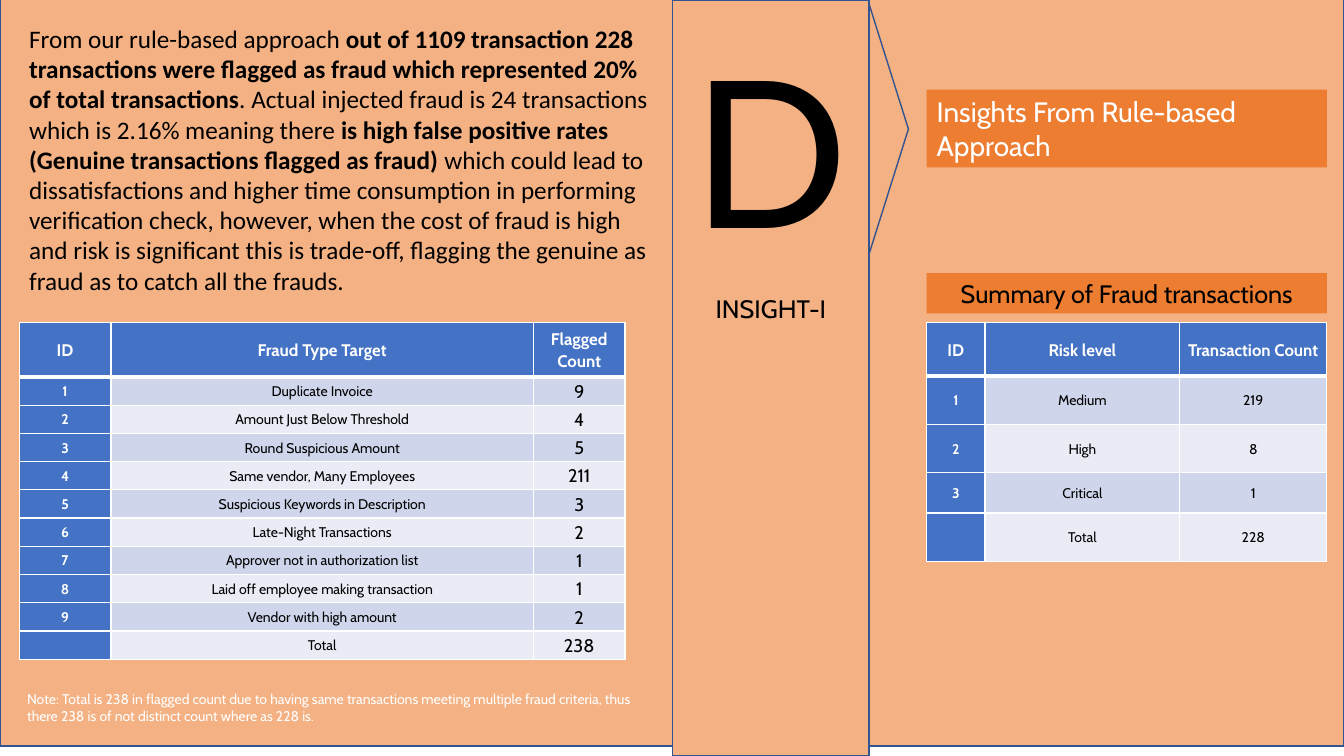
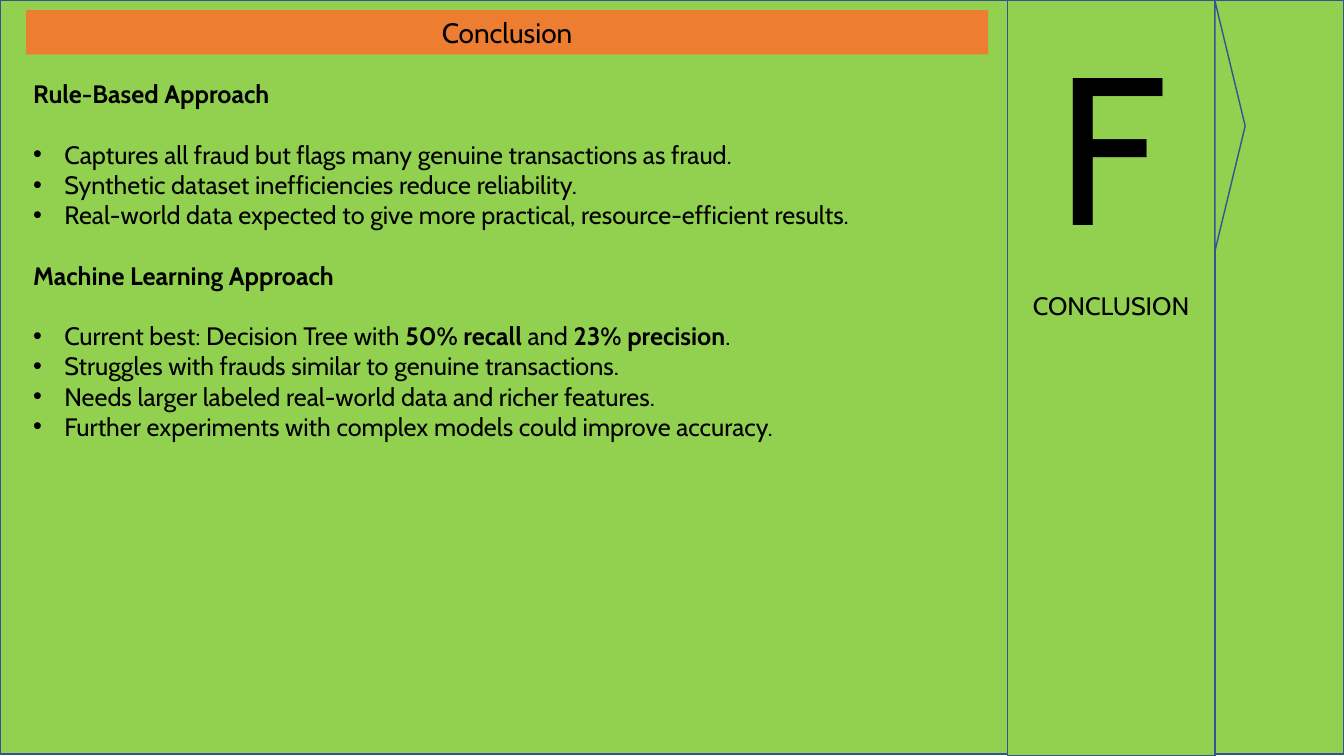
from lxml import etree
from pptx import Presentation
from pptx.dml.color import RGBColor
from pptx.enum import shapes, text
from pptx.oxml.ns import qn
from pptx.util import Inches, Pt

PEACH = RGBColor(0xF4, 0xB1, 0x83)
GREEN = RGBColor(0x92, 0xD0, 0x50)
ORANGE = RGBColor(0xED, 0x7D, 0x31)
OUTLINE = RGBColor(0x32, 0x54, 0x91)
BLUE = RGBColor(0x44, 0x72, 0xC4)
BAND_DARK = RGBColor(0xCF, 0xD5, 0xEA)
BAND_LIGHT = RGBColor(0xE9, 0xEB, 0xF5)
WHITE = RGBColor(0xFF, 0xFF, 0xFF)
BLACK = RGBColor(0x00, 0x00, 0x00)

LEFT, CENTER = text.PP_ALIGN.LEFT, text.PP_ALIGN.CENTER
TOP, MIDDLE = text.MSO_ANCHOR.TOP, text.MSO_ANCHOR.MIDDLE

SUMMARY = (
    "From our rule-based approach **out of 1109 transaction 228 transactions were flagged as fraud "
    "which represented 20% of total transactions**. Actual injected fraud is 24 transactions which is "
    "2.16% meaning there **is high false positive rates (Genuine transactions flagged as fraud)** which "
    "could lead to dissatisfactions and higher time consumption in performing verification check, "
    "however, when the cost of fraud is high and risk is significant this is trade-off, flagging the "
    "genuine as fraud as to catch all the frauds."
)
NOTE = (
    "Note: Total is 238 in flagged count due to having same transactions meeting multiple fraud "
    "criteria, thus there 238 is of not distinct count where as 228 is."
)
FRAUD_TYPES = [
    ("ID", "Fraud Type Target", "Flagged Count"),
    ("1", "Duplicate Invoice", "9"),
    ("2", "Amount Just Below Threshold", "4"),
    ("3", "Round Suspicious Amount", "5"),
    ("4", "Same vendor, Many Employees", "211"),
    ("5", "Suspicious Keywords in Description", "3"),
    ("6", "Late-Night Transactions", "2"),
    ("7", "Approver not in authorization list", "1"),
    ("8", "Laid off employee making transaction", "1"),
    ("9", "Vendor with high amount", "2"),
    ("", "Total", "238"),
]
RISK_LEVELS = [
    ("ID", "Risk level", "Transaction Count"),
    ("1", "Medium", "219"),
    ("2", "High", "8"),
    ("3", "Critical", "1"),
    ("", "Total", "228"),
]
CONCLUSIONS = {
    "Rule-Based Approach": [
        "Captures all fraud but flags many genuine transactions as fraud.",
        "Synthetic dataset inefficiencies reduce reliability.",
        "Real-world data expected to give more practical, resource-efficient results.",
    ],
    "Machine Learning Approach": [
        "Current best: Decision Tree with **50% recall** and **23% precision**.",
        "Struggles with frauds similar to genuine transactions.",
        "Needs larger labeled real-world data and richer features.",
        "Further experiments with complex models could improve accuracy.",
    ],
}


def apply(target, **values):
    for name, value in values.items():
        setattr(target, name, value)


class Deck:
    font = "Cabin"
    blank_line = Pt(21.6)

    def __init__(self):
        self.show = Presentation()
        apply(self.show, slide_width=Inches(13.33), slide_height=Inches(7.5))
        self.page = None
        self.theme = None

    def start(self, theme, top, height):
        self.page = self.show.slides.add_slide(self.show.slide_layouts[5])
        self.theme = theme
        self.block((0, top, 13.33, height))

    def place(self, shape, area):
        apply(shape, **dict(zip(("left", "top", "width", "height"), map(Inches, area))))

    def paint(self, shape, fill, line=None):
        shape.fill.solid()
        shape.fill.fore_color.rgb = fill
        if line is None:
            shape.line.fill.background()
        else:
            shape.line.color.rgb = line
            shape.line.width = Pt(1)

    def block(self, area, kind=shapes.MSO_SHAPE.RECTANGLE, fill=None, line=OUTLINE):
        shape = self.page.shapes.add_shape(kind, *map(Inches, area))
        shape.shadow.inherit = False
        self.paint(shape, fill or self.theme, line)
        return shape

    def add_words(self, para, words, size, color=BLACK, bold=False, font=None, **layout):
        apply(para, **layout)
        for index, part in enumerate(words.split("**")):
            if part:
                span = para.add_run()
                span.text = part
                apply(span.font, size=Pt(size), name=font or self.font, bold=bold or index % 2 == 1)
                span.font.color.rgb = color

    def frame(self, shape, anchor=TOP):
        apply(shape.text_frame, word_wrap=True, auto_size=text.MSO_AUTO_SIZE.NONE, vertical_anchor=anchor)
        return shape.text_frame

    def textbox(self, area):
        return self.frame(self.page.shapes.add_textbox(*map(Inches, area)))

    def label(self, area, words, size, **style):
        self.add_words(self.textbox(area).paragraphs[0], words, size, **style)

    def title(self, area, words, color=BLACK, alignment=CENTER):
        title = self.page.shapes.title
        title.element.getparent().append(title.element)
        self.place(title, area)
        self.paint(title, ORANGE)
        self.add_words(self.frame(title, MIDDLE).paragraphs[0], words, 20, color, alignment=alignment)

    def banner(self, area, words):
        frame = self.frame(self.block(area, fill=ORANGE, line=None), MIDDLE)
        self.add_words(frame.paragraphs[0], words, 18, alignment=CENTER)

    def side_panel(self, left, width, top, letter, name, depth):
        self.block((left, 0, width, 7.5))
        self.label((left, top, width, 2.63), letter, 150, alignment=CENTER)
        self.label((left, top + 2.73, width, 0.4), name, 18, alignment=CENTER)
        span, right, middle = 2.48, left + width, top + 1.15
        area = (right + depth / 2 - span / 2, middle - depth / 2, span, depth)
        pointer = self.block(area, shapes.MSO_SHAPE.ISOSCELES_TRIANGLE)
        pointer.rotation = 90

    def borders(self, cell, top, bottom):
        properties = cell._tc.get_or_add_tcPr()
        for side, width in (("L", 1), ("R", 1), ("T", top), ("B", bottom)):
            line = etree.SubElement(properties, qn(f"a:ln{side}"), w=str(Pt(width)))
            fill = etree.SubElement(line, qn("a:solidFill"))
            etree.SubElement(fill, qn("a:srgbClr"), val=str(WHITE))

    def cell(self, cell, words, row, column, count_size):
        header, key = row == 0, column == 0
        self.borders(cell, 3 if row == 1 else 1, 3 if header else 1)
        cell.fill.solid()
        cell.fill.fore_color.rgb = BLUE if header or key else BAND_DARK if row % 2 else BAND_LIGHT
        apply(cell, vertical_anchor=MIDDLE, margin_left=Inches(0.07), margin_right=Inches(0.07),
              margin_top=0, margin_bottom=0)
        size = 12 if header else count_size if column == 2 else 10
        para = cell.text_frame.paragraphs[0]
        self.add_words(para, words, size, WHITE if header or key else BLACK, header or key,
                       alignment=CENTER, line_spacing=1.07)
        if not words:
            etree.SubElement(para._p, qn("a:endParaRPr"), sz=str(size * 100))

    def table(self, left, top, widths, heights, rows, count_size):
        area = (left, top, sum(widths), sum(heights))
        table = self.page.shapes.add_table(len(rows), len(widths), *map(Inches, area)).table
        for column, width in zip(table.columns, widths):
            column.width = Inches(width)
        for row, height in zip(table.rows, heights):
            row.height = Inches(height)
        for row, values in enumerate(rows):
            for column, words in enumerate(values):
                self.cell(table.cell(row, column), words, row, column, count_size)

    def bullet(self, para):
        properties = para._p.get_or_add_pPr()
        properties.set("marL", str(Inches(0.31)))
        properties.set("indent", str(-Inches(0.31)))
        etree.SubElement(properties, qn("a:buFont"), typeface="Arial")
        etree.SubElement(properties, qn("a:buChar"), char="•")

    def sections(self, area, content):
        frame = self.textbox(area)
        para = frame.paragraphs[0]
        for number, (heading, points) in enumerate(content.items()):
            if number:
                para = frame.add_paragraph()
                para.space_before = self.blank_line
            self.add_words(para, heading, 18, bold=True)
            for index, point in enumerate(points):
                para = frame.add_paragraph()
                self.bullet(para)
                self.add_words(para, point, 18, space_before=Pt(0) if index else self.blank_line)


def insight_slide(deck):
    deck.start(PEACH, -0.03, 7.43)
    deck.side_panel(6.67, 1.95, 0.13, "D", "INSIGHT-I", 0.39)
    deck.label((0.19, 0.18, 6.48, 3.08), SUMMARY, 18, font="Calibri")
    deck.table(0.19, 3.2, (0.91, 4.19, 0.91), [0.54] + [0.28] * 10, FRAUD_TYPES, 13)
    deck.title((9.19, 0.89, 3.97, 0.77), "Insights From Rule-based Approach", WHITE, LEFT)
    deck.label((0.17, 6.8, 6.48, 0.44), NOTE, 10, color=WHITE)
    deck.table(9.19, 3.2, (0.58, 1.93, 1.46), (0.53, 0.48, 0.48, 0.4, 0.48), RISK_LEVELS, 10)
    deck.banner((9.19, 2.71, 3.97, 0.4), "Summary of Fraud transactions")


def conclusion_slide(deck):
    deck.start(GREEN, 0, 7.48)
    deck.side_panel(9.99, 2.06, 0.1, "F", "CONCLUSION", 0.3)
    deck.title((0.26, 0.1, 9.54, 0.44), "Conclusion")
    deck.sections((0.23, 0.73, 9.6, 3.74), CONCLUSIONS)


def main():
    deck = Deck()
    insight_slide(deck)
    conclusion_slide(deck)
    deck.show.save("out.pptx")


if __name__ == "__main__":
    main()
